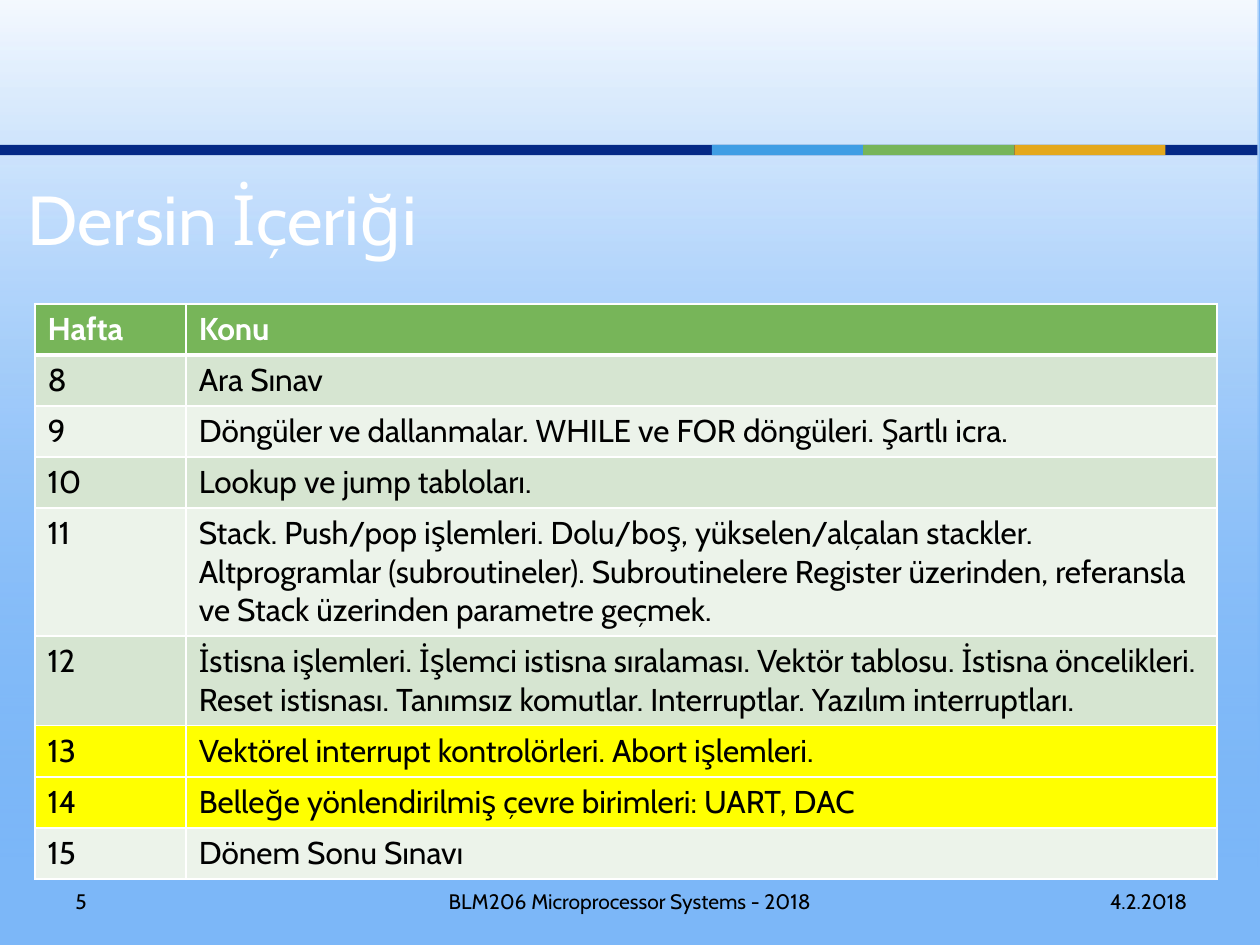
from typing import NamedTuple

from lxml.etree import SubElement
from pptx import Presentation
from pptx.dml.color import RGBColor
from pptx.enum.shapes import MSO_SHAPE
from pptx.enum.text import MSO_ANCHOR, PP_ALIGN
from pptx.oxml.ns import qn
from pptx.util import Pt

FONT = "Cabin"
WHITE, BLACK = "FFFFFF", "000000"
SKY, NAVY, BLUE, GREEN, GOLD = "7CB7F8", "042986", "3F9EE4", "77B559", "E4A81B"
DARK_BAND, LIGHT_BAND, HIGHLIGHT = "D6E5D1", "ECF3EA", "FFFF00"


class Box(NamedTuple):
    left: float
    top: float
    width: float
    height: float

    def lengths(self) -> list:
        return [Pt(value) for value in self]


class Label(NamedTuple):
    text: str
    box: Box
    size: float
    color: str
    alignment: PP_ALIGN


class Week(NamedTuple):
    number: str
    topic: str
    fill: str


LABELS = [
    Label("Dersin İçeriği", Box(8.6, 100, 686, 49), 39.6, WHITE, PP_ALIGN.LEFT),
    Label("5", Box(36, 500.4, 168, 28.8), 12, BLACK, PP_ALIGN.LEFT),
    Label("BLM206 Microprocessor Systems - 2018", Box(246, 500.4, 228, 28.8), 12, BLACK, PP_ALIGN.CENTER),
    Label("4.2.2018", Box(517.5, 500.4, 168, 28.8), 12, BLACK, PP_ALIGN.RIGHT),
]

WEEKS = [
    Week("Hafta", "Konu", GREEN),
    Week("8", "Ara Sınav", DARK_BAND),
    Week("9", "Döngüler ve dallanmalar. WHILE ve FOR döngüleri. Şartlı icra.", LIGHT_BAND),
    Week("10", "Lookup ve jump tabloları.", DARK_BAND),
    Week("11", "Stack. Push/pop işlemleri. Dolu/boş, yükselen/alçalan stackler. "
         "Altprogramlar (subroutineler). Subroutinelere Register üzerinden, "
         "referansla ve Stack üzerinden parametre geçmek.", LIGHT_BAND),
    Week("12", "İstisna işlemleri. İşlemci istisna sıralaması. Vektör tablosu. "
         "İstisna öncelikleri. Reset istisnası. Tanımsız komutlar. "
         "Interruptlar. Yazılım interruptları.", DARK_BAND),
    Week("13", "Vektörel interrupt kontrolörleri. Abort işlemleri.", HIGHLIGHT),
    Week("14", "Belleğe yönlendirilmiş çevre birimleri: UART, DAC", HIGHLIGHT),
    Week("15", "Dönem Sonu Sınavı", LIGHT_BAND),
]


def paint(target, color: str) -> None:
    target.solid()
    target.fore_color.rgb = RGBColor.from_string(color)


def set_font(paragraph, size: float, color: str, bold: bool = False) -> None:
    font = paragraph.font
    font.name, font.size, font.bold = FONT, Pt(size), bold
    paint(font.fill, color)


def add_rectangle(slide, box: Box, color: str):
    shape = slide.shapes.add_shape(MSO_SHAPE.RECTANGLE, *box.lengths())
    shape.shadow.inherit = False
    shape.line.fill.background()
    paint(shape.fill, color)
    return shape


def add_haze(slide) -> None:
    shape = add_rectangle(slide, Box(-0.7, 0, 720, 495.4), SKY)
    shape.fill.gradient()
    shape.fill.gradient_angle = 90
    stops = shape.fill.gradient_stops
    for stop, color, position in zip(stops, (SKY, WHITE), (0.01, 1)):
        stop.color.rgb = RGBColor.from_string(color)
        stop.position = position
    gradient = shape._element.spPr.find(qn("a:gradFill"))
    for color, opacity in zip(gradient.iter(qn("a:srgbClr")), (0, 92)):
        SubElement(color, qn("a:alpha"), val=str(opacity * 1000))


def add_stripe(slide) -> None:
    top, height, width = 82.8, 5.8, 86.4
    add_rectangle(slide, Box(-1.4, top, 720, height), NAVY)
    for index, color in enumerate((BLUE, GREEN, GOLD)):
        add_rectangle(slide, Box(406.8 + index * width, top, width, height), color)


def add_label(slide, label: Label) -> None:
    frame = slide.shapes.add_textbox(*label.box.lengths()).text_frame
    frame.word_wrap = True
    frame.vertical_anchor = MSO_ANCHOR.MIDDLE
    paragraph = frame.paragraphs[0]
    paragraph.text = label.text
    paragraph.alignment = label.alignment
    set_font(paragraph, label.size, label.color)


def add_borders(cell, top: float, bottom: float) -> None:
    properties = cell._tc.get_or_add_tcPr()
    widths = {"a:lnL": 1, "a:lnR": 1, "a:lnT": top, "a:lnB": bottom}
    for tag, width in widths.items():
        line = SubElement(properties, qn(tag), w=str(Pt(width)))
        fill = SubElement(line, qn("a:solidFill"))
        SubElement(fill, qn("a:srgbClr"), val=WHITE)


def add_schedule(slide) -> None:
    box = Box(20, 173.6, 675.4, 29.2 * len(WEEKS))
    table = slide.shapes.add_table(len(WEEKS), 2, *box.lengths()).table
    table.columns[0].width = Pt(86.4)
    table.columns[1].width = Pt(589)
    for row, week in enumerate(WEEKS):
        header = row == 0
        for column, text in enumerate((week.number, week.topic)):
            cell = table.cell(row, column)
            cell.text = text
            if column == 1 and row >= 3:
                cell.vertical_anchor = MSO_ANCHOR.MIDDLE
            add_borders(cell, 3 if row == 1 else 1, 3 if header else 1)
            paint(cell.fill, week.fill)
            set_font(cell.text_frame.paragraphs[0], 18, WHITE if header else BLACK, header)


def main() -> None:
    presentation = Presentation()
    presentation.slide_width, presentation.slide_height = Pt(720), Pt(540)
    slide = presentation.slides.add_slide(presentation.slide_layouts[6])
    paint(slide.background.fill, SKY)
    add_haze(slide)
    add_stripe(slide)
    add_schedule(slide)
    for label in LABELS:
        add_label(slide, label)
    presentation.save("out.pptx")


if __name__ == "__main__":
    main()
